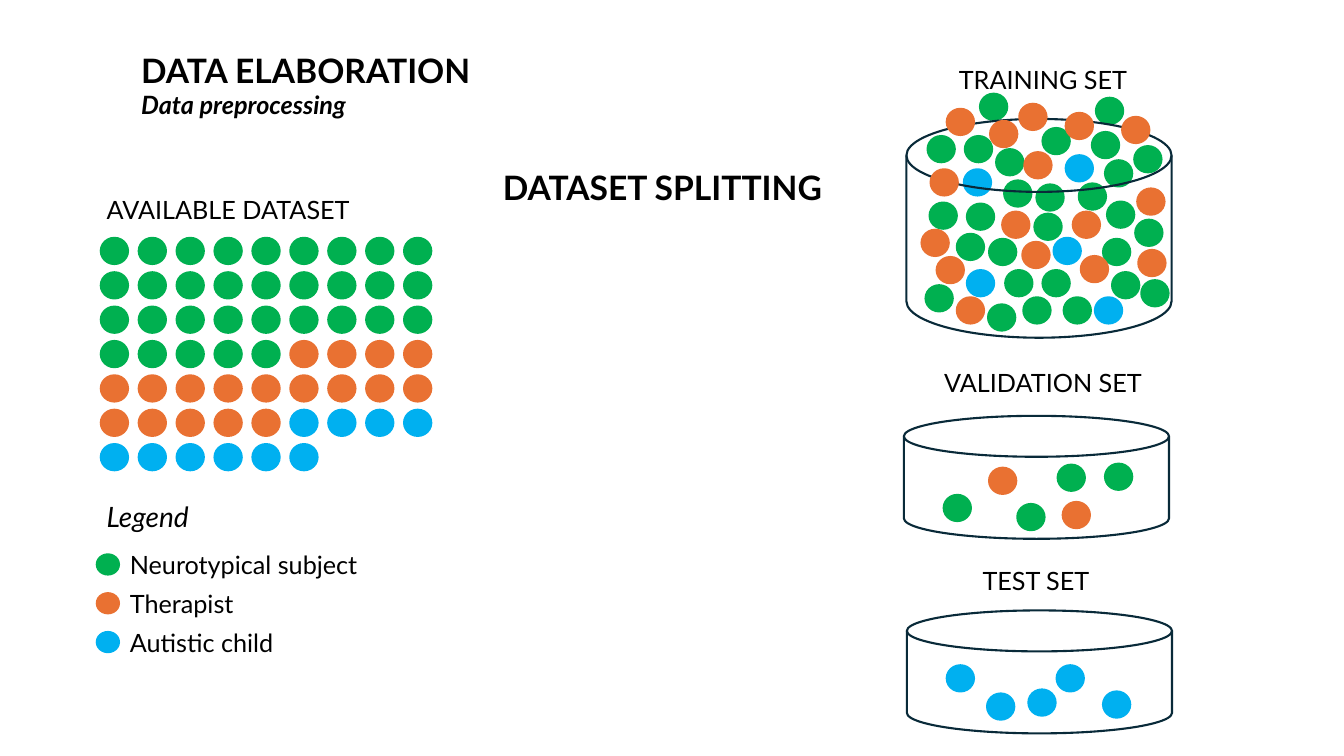
from pptx import Presentation, util as u
from pptx.dml.color import RGBColor
from pptx.enum import shapes, text

GREEN, ORANGE, BLUE = "00B050", "E97132", "00B0F0"
INK, BLACK = "092A39", "000000"
LEFT, MID = text.PP_ALIGN.LEFT, text.PP_ALIGN.CENTER

deck = Presentation()
deck.slide_width, deck.slide_height = u.Inches(13.33), u.Inches(7.5)
slide = deck.slides.add_slide(deck.slide_layouts[5])


def draw(kind, box, line, fill=None, turn=0):
    """Add one outlined shape; box is left, top, width, height in inches."""
    item = slide.shapes.add_shape(kind, *map(u.Inches, box))
    item.shadow.inherit = False
    item.rotation = turn
    item.line.color.rgb = RGBColor.from_string(line)
    item.line.width = u.Pt(1.5)
    if fill:
        item.fill.solid()
        item.fill.fore_color.rgb = RGBColor.from_string(fill)
    else:
        item.fill.background()


def write(item, box, rows, align=LEFT):
    """Place a text shape; each row is words, size, bold, italic."""
    item.left, item.top, item.width, item.height = map(u.Inches, box)
    frame = item.text_frame
    frame.word_wrap = True
    frame.auto_size = text.MSO_AUTO_SIZE.NONE
    frame.vertical_anchor = text.MSO_ANCHOR.TOP
    for num, (words, size, bold, slant) in enumerate(rows):
        para = frame.add_paragraph() if num else frame.paragraphs[0]
        para.alignment = align
        para.line_spacing = 1.0
        run = para.add_run()
        run.text = words
        run.font.name, run.font.size = "Lato", u.Pt(size)
        run.font.bold, run.font.italic = bold, slant
        run.font.color.rgb = RGBColor.from_string(BLACK)


drum = shapes.MSO_SHAPE.FLOWCHART_DIRECT_ACCESS_STORAGE
oval = shapes.MSO_SHAPE.OVAL

# Title with its subtitle
write(slide.shapes.title, (1.3, 0.44, 4.08, 0.81),
      [("DATA ELABORATION", 24, True, False),
       ("Data preprocessing", 18, True, True)])

# Headings
for words, box, size, bold, slant, align in [
    ("AVAILABLE DATASET", (0.96, 1.88, 2.92, 0.4), 18, False, False, LEFT),
    ("Legend", (0.96, 4.91, 2.22, 0.44), 20, False, True, LEFT),
    ("TRAINING SET", (9.25, 0.59, 2.19, 0.4), 18, False, False, MID),
    ("VALIDATION SET", (9.25, 3.59, 2.19, 0.4), 18, False, False, MID),
    ("TEST SET", (9.18, 5.56, 2.19, 0.4), 18, False, False, MID),
    ("DATASET SPLITTING", (4.8, 1.61, 3.54, 0.5), 24, True, False, MID),
]:
    label = slide.shapes.add_textbox(0, 0, 0, 0)
    write(label, box, [(words, size, bold, slant)], align)

# Legend
for row, (words, tint) in enumerate([("Neurotypical subject", GREEN),
                                     ("Therapist", ORANGE),
                                     ("Autistic child", BLUE)]):
    top = 5.4 + row * 0.385
    draw(oval, (0.96, top + 0.1, 0.22, 0.2), tint, tint)
    label = slide.shapes.add_textbox(0, 0, 0, 0)
    write(label, (1.19, top, 2.63, 0.4), [(words, 18, False, False)])

# Available dataset: subjects in rows of nine
group = [GREEN] * 32 + [ORANGE] * 18 + [BLUE] * 10
for num, tint in enumerate(group):
    row, col = divmod(num, 9)
    draw(oval, (1 + col * 0.376, 2.36 + row * 0.341, 0.27, 0.26), tint, tint)

# Validation and test drums
draw(drum, (9.67, 3.42, 1.22, 2.63), INK, turn=270)
draw(drum, (9.7, 5.35, 1.22, 2.63), INK, turn=270)

# Subjects of each set, left and top; the training drum goes over the first part
behind = [
    # Training set
    (GREEN, [(11.03, 2.7), (11.25, 1.45), (10.26, 2.12), (9.72, 0.93),
             (10.96, 1.59), (9.81, 2.37), (10.34, 1.27), (9.96, 1.79),
             (10.7, 1.82), (9.49, 2.32), (9.97, 2.68), (10.34, 2.68),
             (9.59, 2.02), (10.98, 2), (9.18, 2.83), (10.15, 2.95),
             (10.83, 1.31), (10.28, 1.83), (11.26, 2.18), (9.57, 1.35),
             (9.88, 1.48), (10.87, 0.97), (9.2, 1.35), (9.22, 2.01),
             (9.8, 3.02), (11.32, 2.78), (10.55, 2.95), (10.94, 2.37)]),
    (ORANGE, [(10.14, 2.4), (10.72, 2.54)]),
    (BLUE, [(9.59, 2.68), (10.45, 2.36), (10.57, 1.54), (10.86, 2.95),
            (9.56, 1.68)]),
    # Validation set
    (GREEN, [(10.49, 4.61), (10.96, 4.6), (10.09, 5), (9.36, 4.91)]),
    (ORANGE, [(9.81, 4.64), (10.54, 4.98)]),
    # Test set
    (BLUE, [(10.2, 6.84), (9.39, 6.6), (9.79, 6.88), (10.94, 6.86),
            (10.48, 6.6)]),
]
front = [
    (ORANGE, [(9.94, 2.1), (10.57, 1.12), (9.14, 2.28), (9.29, 2.55),
              (9.82, 1.2), (9.39, 1.08), (10.11, 1.03), (11.28, 1.87),
              (11.29, 2.48), (9.23, 1.68), (9.49, 2.95), (10.64, 2.1),
              (11.13, 1.16), (10.16, 1.51)]),
]
for layer in (behind, front):
    if layer is front:
        draw(drum, (9.22, 0.95, 2.17, 2.63), INK, turn=270)
    for tint, spots in layer:
        for left, top in spots:
            draw(oval, (left, top, 0.27, 0.26), tint, tint)

deck.save("out.pptx")
